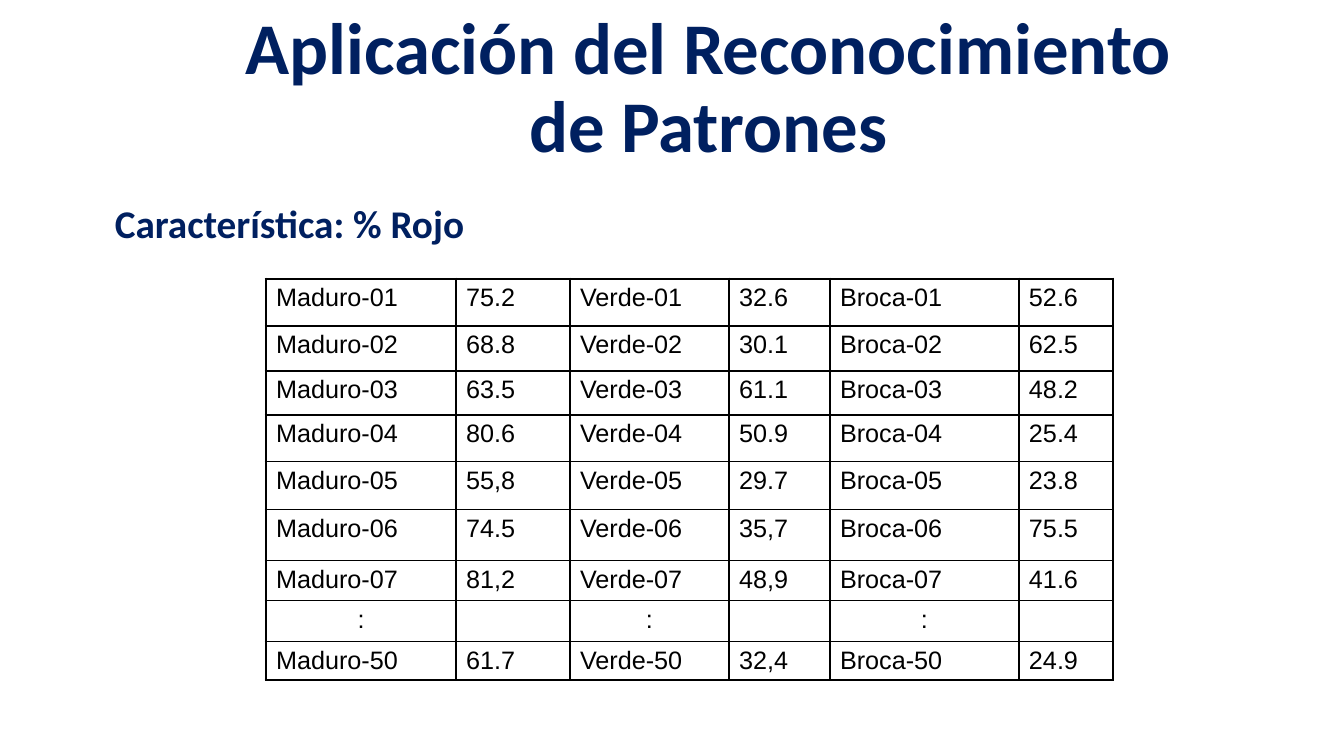
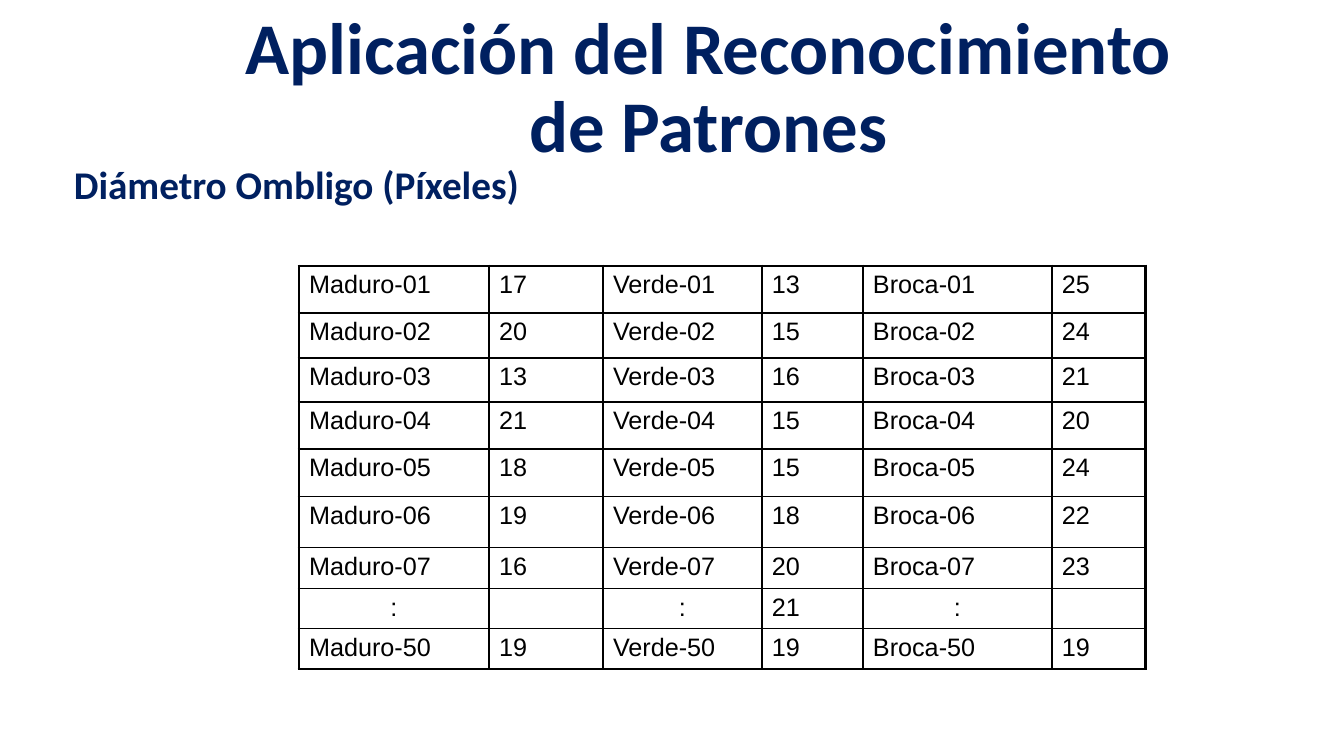
"""Build two slides that tabulate coffee bean features for pattern recognition."""
from lxml.etree import SubElement
from pptx import Presentation
from pptx.dml.color import RGBColor
from pptx.enum.text import MSO_ANCHOR, MSO_AUTO_SIZE, PP_ALIGN
from pptx.oxml.ns import qn
from pptx.util import Emu, Pt

NAVY = RGBColor(0x00, 0x20, 0x60)
BLACK = RGBColor(0x00, 0x00, 0x00)

TITLE = "Aplicación del Reconocimiento de Patrones"
TITLE_BOX = (196, 62, 1025, 56)
CLASSES = ("Maduro", "Verde", "Broca")
SAMPLES = ("01", "02", "03", "04", "05", "06", "07", None, "50")
FEATURES = [
    {
        "heading": "Característica: % Rojo",
        "heading_box": (105, 194, 374, 57),
        "table_at": (266, 279),
        "values": [
            ("75.2", "32.6", "52.6"),
            ("68.8", "30.1", "62.5"),
            ("63.5", "61.1", "48.2"),
            ("80.6", "50.9", "25.4"),
            ("55,8", "29.7", "23.8"),
            ("74.5", "35,7", "75.5"),
            ("81,2", "48,9", "41.6"),
            ("", "", ""),
            ("61.7", "32,4", "24.9"),
        ],
    },
    {
        "heading": "Diámetro Ombligo (Píxeles)",
        "heading_box": (64, 155, 471, 57),
        "table_at": (299, 266),
        "values": [
            ("17", "13", "25"),
            ("20", "15", "24"),
            ("13", "16", "21"),
            ("21", "15", "20"),
            ("18", "15", "24"),
            ("19", "18", "22"),
            ("16", "20", "23"),
            ("", "21", ""),
            ("19", "19", "19"),
        ],
    },
]

COLUMN_WIDTHS = (190, 114, 159, 101, 189, 94)
ROW_HEIGHTS = (47, 45, 44, 47, 48, 51, 40, 39, 38)
THICK_COLUMN_EDGES = (0, 4, 5, 6)
THICK_ROW_EDGES = (0, 9)
THIN, THICK = Pt(1), Pt(2.25)
ELLIPSIS = ":"


def px(length):
    return Emu(round(length * 914400 / 100.8))


def add_run(paragraph, text, font_name, size, color, bold=False):
    run = paragraph.add_run()
    run.text = text
    run.font.name = font_name
    run.font.size = Pt(size)
    run.font.bold = bold
    run.font.color.rgb = color


def add_text(slide, box, text, size, wrap):
    frame = slide.shapes.add_textbox(*map(px, box)).text_frame
    frame.word_wrap = wrap
    add_run(frame.paragraphs[0], text, "Calibri", size, NAVY, True)
    return frame


def add_title(slide):
    frame = add_text(slide, TITLE_BOX, TITLE, 52, True)
    frame.vertical_anchor = MSO_ANCHOR.MIDDLE
    frame.paragraphs[0].alignment = PP_ALIGN.CENTER
    frame.paragraphs[0].line_spacing = 0.9


def add_heading(slide, feature):
    frame = add_text(slide, feature["heading_box"], feature["heading"], 28, False)
    frame.auto_size = MSO_AUTO_SIZE.SHAPE_TO_FIT_TEXT


def set_borders(cell, row, column):
    edges = (
        ("a:lnL", column in THICK_COLUMN_EDGES),
        ("a:lnR", column + 1 in THICK_COLUMN_EDGES),
        ("a:lnT", row in THICK_ROW_EDGES),
        ("a:lnB", row + 1 in THICK_ROW_EDGES),
    )
    properties = cell._tc.get_or_add_tcPr()
    for tag, is_thick in edges:
        line = SubElement(properties, qn(tag), w=str(THICK if is_thick else THIN))
        fill = SubElement(line, qn("a:solidFill"))
        SubElement(fill, qn("a:srgbClr"), val=str(BLACK))


def table_rows(values):
    for sample, measures in zip(SAMPLES, values):
        labels = [f"{name}-{sample}" if sample else ELLIPSIS for name in CLASSES]
        yield [text for pair in zip(labels, measures) for text in pair]


def add_feature_table(slide, feature):
    size = (sum(COLUMN_WIDTHS), sum(ROW_HEIGHTS))
    table = slide.shapes.add_table(
        len(ROW_HEIGHTS), len(COLUMN_WIDTHS), *map(px, feature["table_at"] + size)
    ).table
    table.first_row = table.horz_banding = False
    for column, width in zip(table.columns, COLUMN_WIDTHS):
        column.width = px(width)
    for row, height in zip(table.rows, ROW_HEIGHTS):
        row.height = px(height)
    for r, texts in enumerate(table_rows(feature["values"])):
        for c, text in enumerate(texts):
            cell = table.cell(r, c)
            set_borders(cell, r, c)
            cell.fill.background()
            paragraph = cell.text_frame.paragraphs[0]
            if text:
                add_run(paragraph, text, "Arial", 18, BLACK)
            if text == ELLIPSIS:
                paragraph.alignment = PP_ALIGN.CENTER


def main():
    deck = Presentation()
    deck.slide_width, deck.slide_height = px(1344), px(756)
    for feature in FEATURES:
        slide = deck.slides.add_slide(deck.slide_layouts[6])
        add_feature_table(slide, feature)
        add_heading(slide, feature)
        add_title(slide)
    deck.save("out.pptx")


if __name__ == "__main__":
    main()
